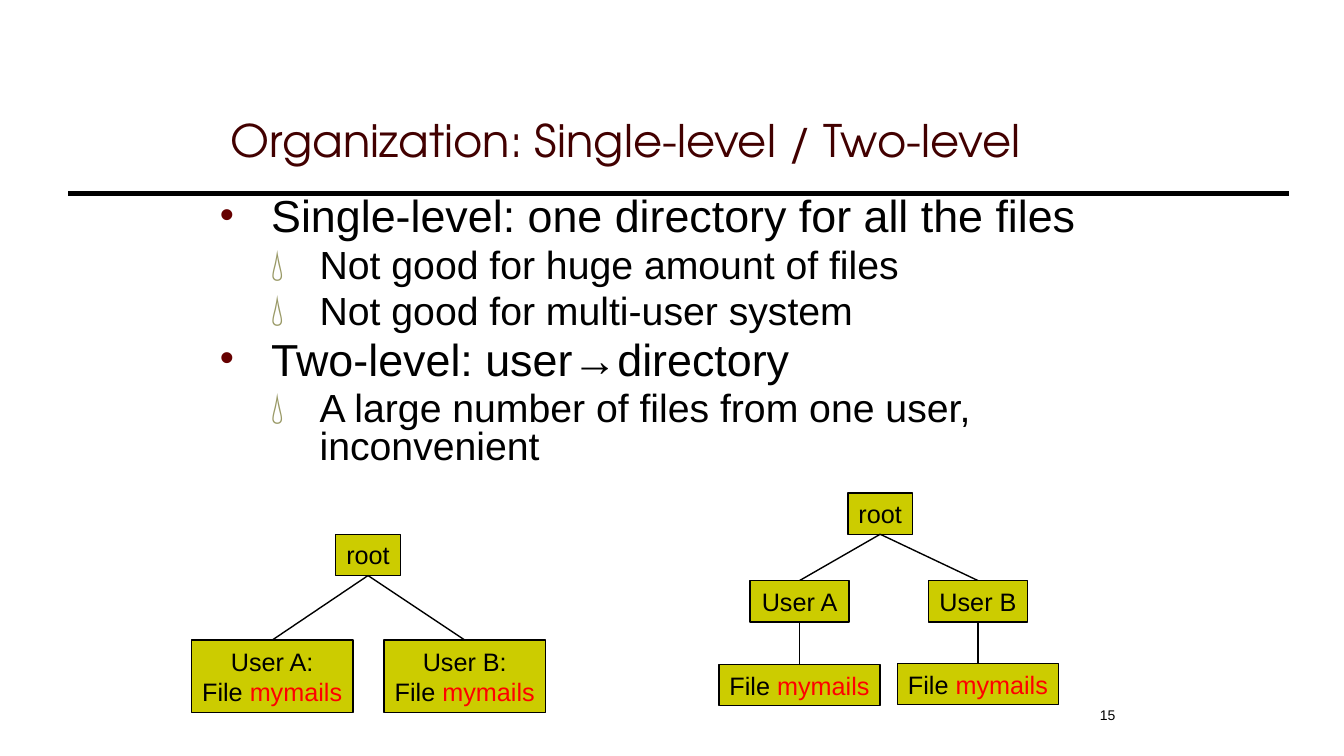
from lxml.etree import SubElement
from pptx import Presentation
from pptx.dml.color import RGBColor
from pptx.enum.shapes import MSO_CONNECTOR, MSO_SHAPE
from pptx.enum.text import MSO_ANCHOR, MSO_AUTO_SIZE, PP_ALIGN
from pptx.oxml.ns import qn
from pptx.util import Pt

PX = 9144  # EMU per px, 100 px to the inch
BLACK = RGBColor(0x00, 0x00, 0x00)
MAROON = RGBColor(0x42, 0x00, 0x00)
OLIVE = RGBColor(0xCC, 0xCC, 0x00)
RED = RGBColor(0xFF, 0x00, 0x00)

# Content
TITLE = "Organization: Single-level / Two-level"
POINTS = [
    (0, "Single-level: one directory for all the files"),
    (1, "Not good for huge amount of files"),
    (1, "Not good for multi-user system"),
    (0, "Two-level: user→directory"),
    (1, "A large number of files from one user, inconvenient"),
]
# level: (size, left margin px, hanging px, bullet, bullet colour, bullet percent)
LEVELS = {0: (32, 51, 51, "•", "660000", 90), 1: (28, 99, 48, "💧", "999966", 85)}
PAGE = "15"

# Each node: (centre x, top, width, lines, children); "*" marks a red word
FILE = "File *mymails"
SINGLE_LEVEL = (365, 530, 64, ["root"], [
    (270, 635, 160, ["User A:", FILE], []),
    (461, 635, 160, ["User B:", FILE], []),
])
TWO_LEVEL = (873, 489, 64, ["root"], [
    (793, 576, 98, ["User A"], [(793, 659, 160, [FILE], [])]),
    (970, 576, 98, ["User B"], [(970, 658, 160, [FILE], [])]),
])
LINE_HEIGHT, PADDING = 31, 10


def box(*lengths):
    return [length * PX for length in lengths]


def place(shape, *lengths):
    shape.left, shape.top, shape.width, shape.height = box(*lengths)


def style(run, size, colour=BLACK, face="Arial"):
    run.font.size, run.font.name = Pt(size), face
    run.font.color.rgb = colour


def add_line(slide, start, end, weight=1):
    line = slide.shapes.add_connector(MSO_CONNECTOR.STRAIGHT, *box(*start, *end))
    line.line.color.rgb, line.line.width = BLACK, Pt(weight)
    SubElement(line._element.spPr, qn("a:effectLst"))


def add_bullet(paragraph, level):
    _, margin, hang, mark, colour, percent = LEVELS[level]
    props = paragraph._p.get_or_add_pPr()
    props.set("marL", str(margin * PX))
    props.set("indent", str(-hang * PX))
    SubElement(SubElement(props, qn("a:buClr")), qn("a:srgbClr"), val=colour)
    SubElement(props, qn("a:buSzPct"), val=str(percent * 1000))
    SubElement(props, qn("a:buFont"), typeface="Arial")
    SubElement(props, qn("a:buChar"), char=mark)


def add_node(slide, node):
    centre, top, width, lines, children = node
    height = PADDING + LINE_HEIGHT * len(lines)
    rect = slide.shapes.add_shape(
        MSO_SHAPE.RECTANGLE, *box(centre - width // 2, top, width, height))
    rect.shadow.inherit = False
    rect.fill.solid()
    rect.fill.fore_color.rgb = OLIVE
    rect.line.color.rgb, rect.line.width = BLACK, Pt(1)
    frame = rect.text_frame
    frame.word_wrap, frame.auto_size = False, MSO_AUTO_SIZE.SHAPE_TO_FIT_TEXT
    frame.vertical_anchor = MSO_ANCHOR.MIDDLE
    for i, text in enumerate(lines):
        paragraph = frame.add_paragraph() if i else frame.paragraphs[0]
        paragraph.alignment = PP_ALIGN.CENTER
        for part, colour in zip(text.split("*"), (BLACK, RED)):
            run = paragraph.add_run()
            run.text = part
            style(run, 18, colour)
    for child in children:
        add_line(slide, child[:2], (centre, top + height))
        add_node(slide, child)


def main():
    prs = Presentation()
    prs.slide_width, prs.slide_height = box(1333, 750)
    slide = prs.slides.add_slide(prs.slide_layouts[1])

    # Title and rule below it
    title, body = slide.placeholders
    place(title, 219, 70, 855, 100)
    title.text_frame.text = TITLE
    title.text_frame.vertical_anchor = MSO_ANCHOR.BOTTOM
    title.text_frame.auto_size = MSO_AUTO_SIZE.NONE
    heading = title.text_frame.paragraphs[0]
    heading.alignment = PP_ALIGN.LEFT
    style(heading.runs[0], 32, MAROON, "TeX Gyre Adventor")
    add_line(slide, (1278, 192), (67, 192), 3)

    # Bulleted points; the space before comes from the master
    place(body, 208, 192, 933, 525)
    frame = body.text_frame
    frame.text = "\n".join(text for _, text in POINTS)
    frame.auto_size = MSO_AUTO_SIZE.NONE
    for paragraph, (level, _) in zip(frame.paragraphs, POINTS):
        paragraph.level = level
        add_bullet(paragraph, level)
        paragraph.line_spacing = 0.8
        style(paragraph.runs[0], LEVELS[level][0])
    frame.paragraphs[0].space_before = Pt(0)

    # Directory trees
    for root in (SINGLE_LEVEL, TWO_LEVEL):
        add_node(slide, root)

    # Page number
    number = slide.shapes.add_textbox(*box(908, 696, 208, 50)).text_frame
    number.word_wrap = True
    number.text = PAGE
    number.paragraphs[0].alignment = PP_ALIGN.RIGHT
    style(number.paragraphs[0].runs[0], 10)

    prs.save("out.pptx")


if __name__ == "__main__":
    main()
